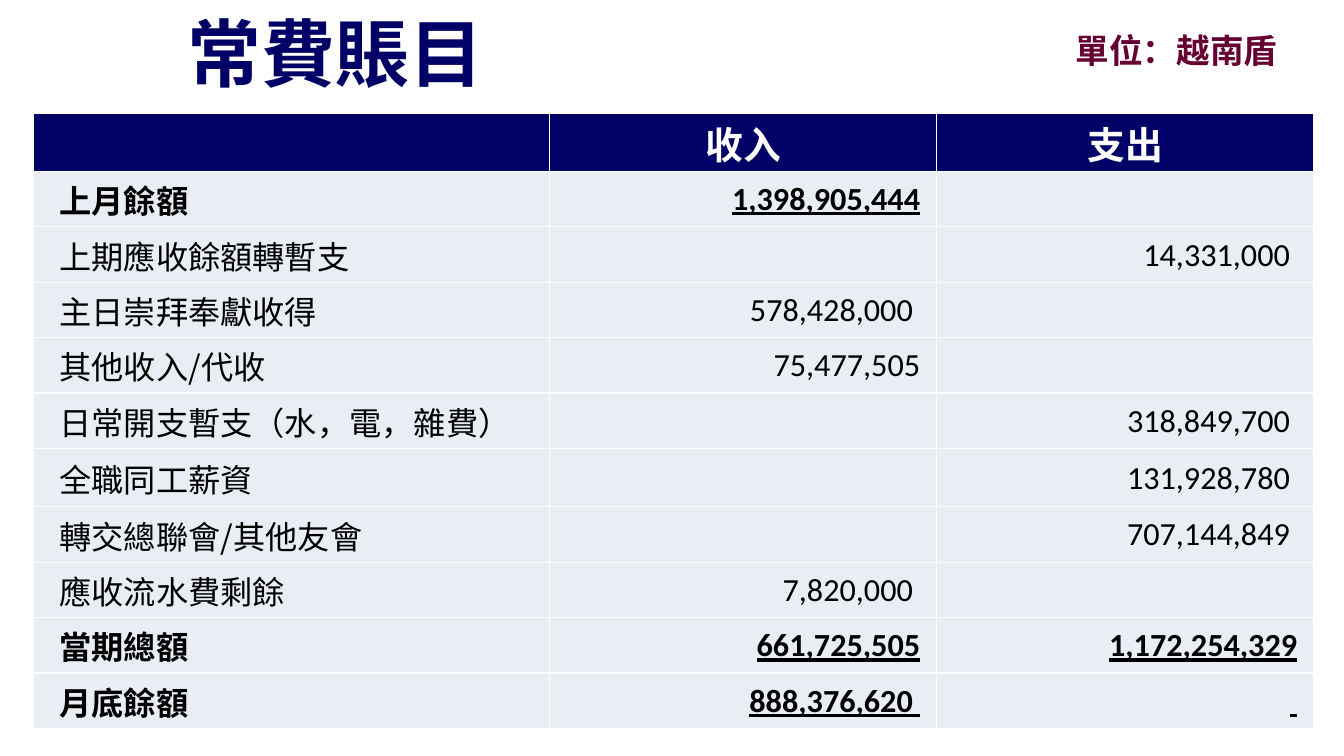
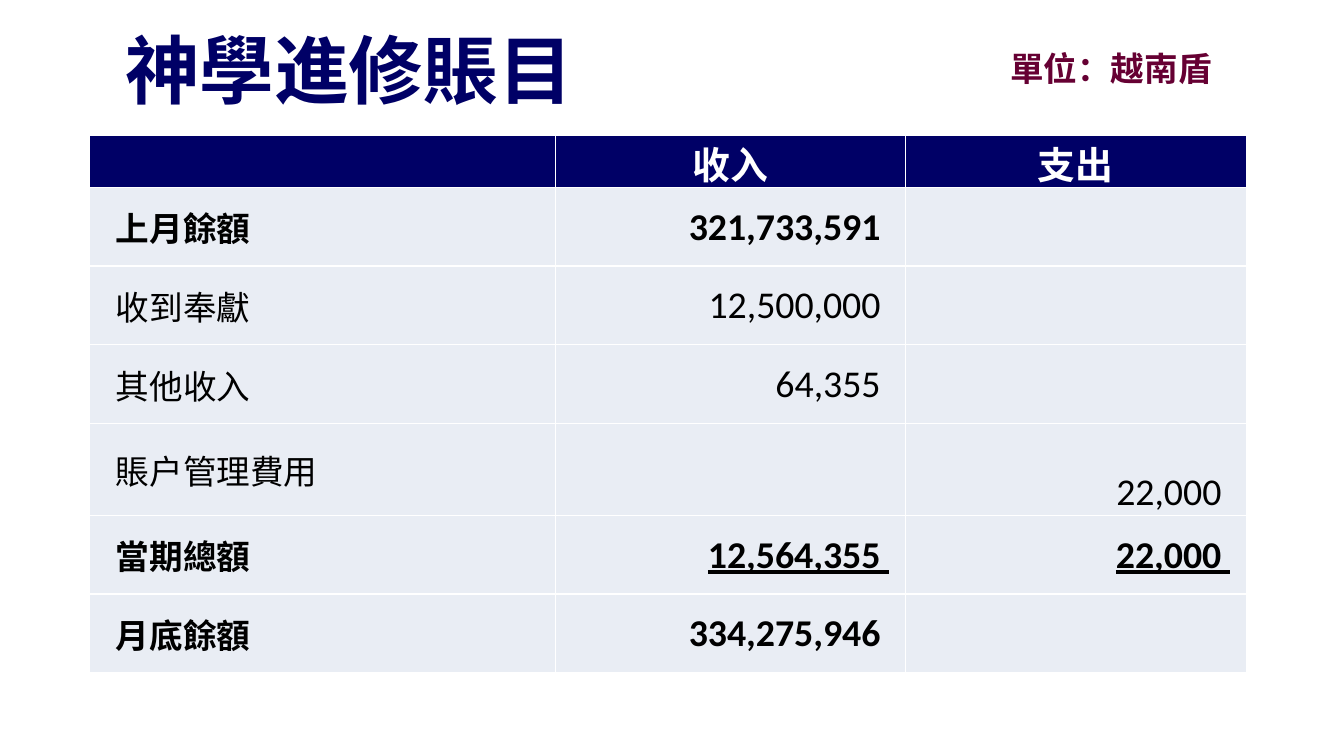
from typing import NamedTuple

from lxml.etree import SubElement
from pptx import Presentation
from pptx.dml.color import RGBColor
from pptx.enum.text import MSO_ANCHOR, PP_ALIGN
from pptx.oxml.ns import qn
from pptx.util import Inches, Pt

NAVY = RGBColor(0x00, 0x00, 0x66)
MAROON = RGBColor(0x66, 0x00, 0x33)
PALE = RGBColor(0xE9, 0xED, 0xF4)
WHITE = RGBColor(0xFF, 0xFF, 0xFF)
BLACK = RGBColor(0x00, 0x00, 0x00)
CHINESE_FONT = "Noto Sans CJK TC"
NUMBER_FONT = "Calibri"
UNIT = "單位：越南盾"
HEADINGS = ("", "收入", "支出")
HEADING_SIZE = 27
UNIT_SIZE = 24


class Entry(NamedTuple):
    label: str
    income: str = ""
    expense: str = ""
    bold: bool = False
    underline: bool = False
    stretch: float = 1
    anchor: MSO_ANCHOR = MSO_ANCHOR.MIDDLE


class Account(NamedTuple):
    title: str
    title_box: tuple
    title_size: float
    unit_box: tuple
    table_origin: tuple
    columns: tuple
    heading_height: float
    heading_anchor: MSO_ANCHOR
    row_height: float
    label_size: float
    number_size: float
    entries: list


ACCOUNTS = [
    Account(
        title="常費賬目", title_box=(0.33, 0.17, 6, 0.69), title_size=52.8,
        unit_box=(10.57, 0.25, 2.44, 0.5), table_origin=(0.33, 1.13),
        columns=(5.12, 3.84, 3.74), heading_height=0.57,
        heading_anchor=MSO_ANCHOR.MIDDLE, row_height=0.55,
        label_size=23, number_size=23,
        entries=[
            Entry("上月餘額", "1,398,905,444", bold=True, underline=True),
            Entry("上期應收餘額轉暫支", expense="14,331,000 "),
            Entry("主日崇拜奉獻收得", "578,428,000 "),
            Entry("其他收入/代收", "75,477,505"),
            Entry("日常開支暫支（水，電，雜費）", expense="318,849,700 "),
            Entry("全職同工薪資", expense="131,928,780 ", stretch=1.05),
            Entry("轉交總聯會/其他友會", expense="707,144,849 "),
            Entry("應收流水費剩餘", "7,820,000 "),
            Entry("當期總額", "661,725,505", "1,172,254,329",
                  bold=True, underline=True),
            Entry("月底餘額", "888,376,620 ", " ", bold=True, underline=True),
        ],
    ),
    Account(
        title="神學進修賬目", title_box=(0.67, 0.3, 5.58, 0.77), title_size=53.3,
        unit_box=(9.92, 0.43, 2.44, 0.5), table_origin=(0.89, 1.34),
        columns=(4.62, 3.47, 3.38), heading_height=0.52,
        heading_anchor=MSO_ANCHOR.BOTTOM, row_height=0.78,
        label_size=24, number_size=27,
        entries=[
            Entry("上月餘額", "321,733,591 ", bold=True),
            Entry("收到奉獻", "12,500,000 "),
            Entry("其他收入", "64,355 "),
            Entry("賬戶管理費用", expense="22,000 ", stretch=1.17,
                  anchor=MSO_ANCHOR.BOTTOM),
            Entry("當期總額", "12,564,355 ", "22,000 ",
                  bold=True, underline=True),
            Entry("月底餘額", "334,275,946 ", bold=True),
        ],
    ),
]


def write(frame, text, size, color, font=CHINESE_FONT, bold=False,
          underline=False, align=PP_ALIGN.LEFT):
    paragraph = frame.paragraphs[0]
    paragraph.alignment = align
    run = paragraph.add_run()
    run.text = text
    run.font.name = font
    run.font.size = Pt(size)
    run.font.bold = bold
    run.font.underline = underline
    run.font.color.rgb = color
    SubElement(run.font._element, qn("a:ea")).set("typeface", font)


def add_text(slide, box, text, size, color, align=PP_ALIGN.LEFT,
             anchor=MSO_ANCHOR.TOP):
    frame = slide.shapes.add_textbox(*map(Inches, box)).text_frame
    frame.word_wrap = True
    frame.vertical_anchor = anchor
    write(frame, text, size, color, bold=True, align=align)


def fill_cell(cell, text, fill, anchor, left=0.01, right=0.01, **style):
    cell.fill.solid()
    cell.fill.fore_color.rgb = fill
    cell.vertical_anchor = anchor
    cell.margin_left, cell.margin_right = Inches(left), Inches(right)
    cell.margin_top, cell.margin_bottom = Inches(0.01), 0
    if text:
        write(cell.text_frame, text, **style)


def add_ledger(slide, account):
    heights = [account.heading_height]
    heights += [account.row_height * entry.stretch for entry in account.entries]
    extent = (*account.table_origin, sum(account.columns), sum(heights))
    table = slide.shapes.add_table(
        len(heights), len(account.columns), *map(Inches, extent)).table
    table.first_row = table.horz_banding = False
    for column, width in zip(table.columns, account.columns):
        column.width = Inches(width)
    for row, height in zip(table.rows, heights):
        row.height = Inches(height)

    for column, heading in enumerate(HEADINGS):
        fill_cell(table.cell(0, column), heading, NAVY, account.heading_anchor,
                  size=HEADING_SIZE, color=WHITE, bold=True,
                  align=PP_ALIGN.CENTER)
    for row, entry in enumerate(account.entries, 1):
        fill_cell(table.cell(row, 0), entry.label, PALE, MSO_ANCHOR.MIDDLE,
                  left=0.26, size=account.label_size, color=BLACK,
                  bold=entry.bold)
        for column, amount in enumerate((entry.income, entry.expense), 1):
            fill_cell(table.cell(row, column), amount, PALE, entry.anchor,
                      right=0.16, size=account.number_size, color=BLACK,
                      font=NUMBER_FONT, bold=entry.bold,
                      underline=entry.underline, align=PP_ALIGN.RIGHT)


def main():
    deck = Presentation()
    deck.slide_width, deck.slide_height = Inches(13.33), Inches(7.5)
    for account in ACCOUNTS:
        slide = deck.slides.add_slide(deck.slide_layouts[6])
        add_text(slide, account.title_box, account.title, account.title_size,
                 NAVY, PP_ALIGN.CENTER, MSO_ANCHOR.MIDDLE)
        add_text(slide, account.unit_box, UNIT, UNIT_SIZE, MAROON)
        add_ledger(slide, account)
    deck.save("out.pptx")


if __name__ == "__main__":
    main()
